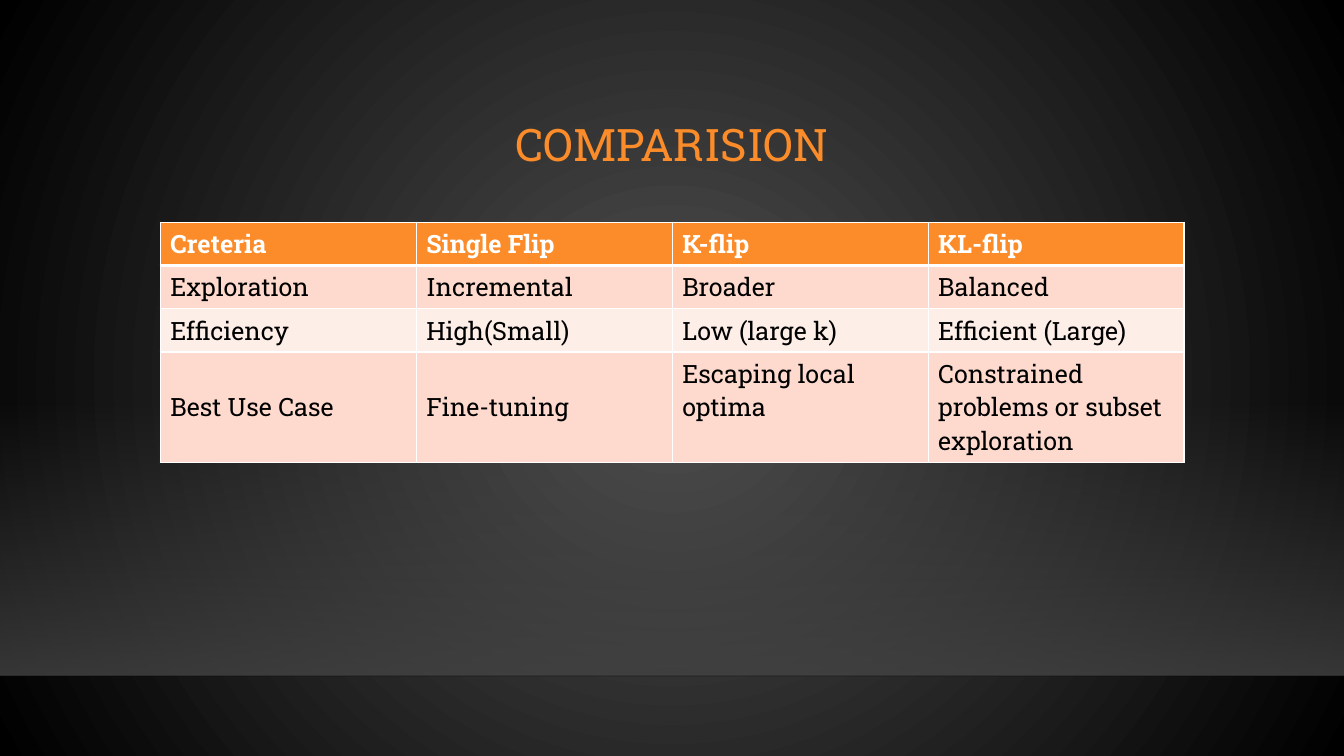
from lxml.etree import SubElement
from pptx import Presentation
from pptx.dml.color import RGBColor
from pptx.enum.shapes import MSO_CONNECTOR, MSO_SHAPE
from pptx.enum.text import MSO_ANCHOR, PP_ALIGN
from pptx.oxml.ns import qn
from pptx.util import Cm, Pt

ORANGE = RGBColor(0xFB, 0x8C, 0x29)
WHITE = RGBColor(0xFF, 0xFF, 0xFF)
BLACK = RGBColor(0x00, 0x00, 0x00)
HORIZON = RGBColor(0x00, 0x00, 0x01)
GLOW = RGBColor(0x50, 0x50, 0x50)
FLOOR = RGBColor(0x45, 0x45, 0x45)
DARK_BAND = RGBColor(0xFD, 0xDA, 0xCD)
LIGHT_BAND = RGBColor(0xFE, 0xEE, 0xE8)
FONT = "Roboto Slab"
LEFT, WIDTH = Cm(4.04), Cm(25.8)
HORIZON_TOP = Cm(17.03)


def set_gradient(fill, colors):
    fill.gradient()
    for stop, position, color in zip(fill.gradient_stops, (0, 1), colors):
        stop.position = position
        stop.color.rgb = color


def set_format(font, **values):
    for name, value in values.items():
        if name == "color":
            font.color.rgb = value
        else:
            setattr(font, name, value)


presentation = Presentation()
presentation.slide_width, presentation.slide_height = Cm(33.87), Cm(19.05)
slide = presentation.slides.add_slide(presentation.slide_layouts[6])

# Background: a round glow fading to black
set_gradient(slide.background.fill, (GLOW, BLACK))
gradient = slide._element.find(".//" + qn("a:gradFill"))
gradient.remove(gradient.find(qn("a:lin")))
circle = SubElement(gradient, qn("a:path"), path="circle")
SubElement(circle, qn("a:fillToRect"), l="50000", t="50000", r="50000", b="50000")

# Floor: clear at the top, nearly solid at the horizon
floor_top = Cm(10.06)
floor = slide.shapes.add_shape(MSO_SHAPE.RECTANGLE, 0, floor_top,
                               presentation.slide_width, HORIZON_TOP - floor_top)
floor.shadow.inherit = False
floor.line.fill.background()
set_gradient(floor.fill, (FLOOR, FLOOR))
floor.fill.gradient_angle = 270
floor_colors = floor._element.spPr.findall(".//" + qn("a:srgbClr"))
for color, alpha in zip(floor_colors, (0, 80000)):
    SubElement(color, qn("a:alpha"), val=str(alpha))

horizon = slide.shapes.add_connector(MSO_CONNECTOR.STRAIGHT, 0, HORIZON_TOP,
                                     presentation.slide_width, HORIZON_TOP)
horizon.line.width = Pt(1)
horizon.line.color.rgb = HORIZON
horizon_properties = horizon._element.spPr
SubElement(horizon_properties.find(".//" + qn("a:srgbClr")), qn("a:alpha"), val="20000")
SubElement(horizon_properties, qn("a:effectLst"))

# Title
title = slide.shapes.add_textbox(LEFT, Cm(2.24), WIDTH, Cm(2.92))
title.text_frame.word_wrap = True
title.text_frame.vertical_anchor = MSO_ANCHOR.MIDDLE
paragraph = title.text_frame.paragraphs[0]
paragraph.alignment = PP_ALIGN.CENTER
paragraph.line_spacing = 0.9
run = paragraph.add_run()
run.text = "COMPARISION"
set_format(run.font, name=FONT, size=Pt(32), color=ORANGE)

# Comparison table: the last row holds three lines of text
ROWS = [
    ("Creteria", "Single Flip", "K-flip", "KL-flip"),
    ("Exploration", "Incremental", "Broader", "Balanced"),
    ("Efficiency", "High(Small)", "Low (large k)", "Efficient (Large)"),
    ("Best Use Case", "Fine-tuning", "Escaping local optima",
     "Constrained problems or subset exploration"),
]
ROW_FILLS = (ORANGE, DARK_BAND, LIGHT_BAND, DARK_BAND)
ROW_HEIGHTS = [Cm(1.09)] * 3 + [Cm(2.78)]
MIDDLE_CELLS = ("Best Use Case", "Fine-tuning")
table = slide.shapes.add_table(len(ROWS), len(ROWS[0]), LEFT, Cm(5.6),
                               WIDTH, sum(ROW_HEIGHTS)).table
for row_index, (texts, row_fill) in enumerate(zip(ROWS, ROW_FILLS)):
    is_header = row_index == 0
    table.rows[row_index].height = ROW_HEIGHTS[row_index]
    border_widths = {"L": 1, "R": 1,
                     "T": 3 if row_index == 1 else 1,
                     "B": 3 if is_header else 1}
    for column_index, text in enumerate(texts):
        cell = table.cell(row_index, column_index)
        cell_properties = cell._tc.get_or_add_tcPr()
        for side, width in border_widths.items():
            border = SubElement(cell_properties, qn(f"a:ln{side}"), w=str(Pt(width)))
            border_fill = SubElement(border, qn("a:solidFill"))
            SubElement(border_fill, qn("a:srgbClr"), val=str(WHITE))
        cell.fill.solid()
        cell.fill.fore_color.rgb = row_fill
        if text in MIDDLE_CELLS:
            cell.vertical_anchor = MSO_ANCHOR.MIDDLE
        run = cell.text_frame.paragraphs[0].add_run()
        run.text = text
        set_format(run.font, name=FONT, size=Pt(18), bold=is_header,
                   color=WHITE if is_header else BLACK)

presentation.save("out.pptx")
